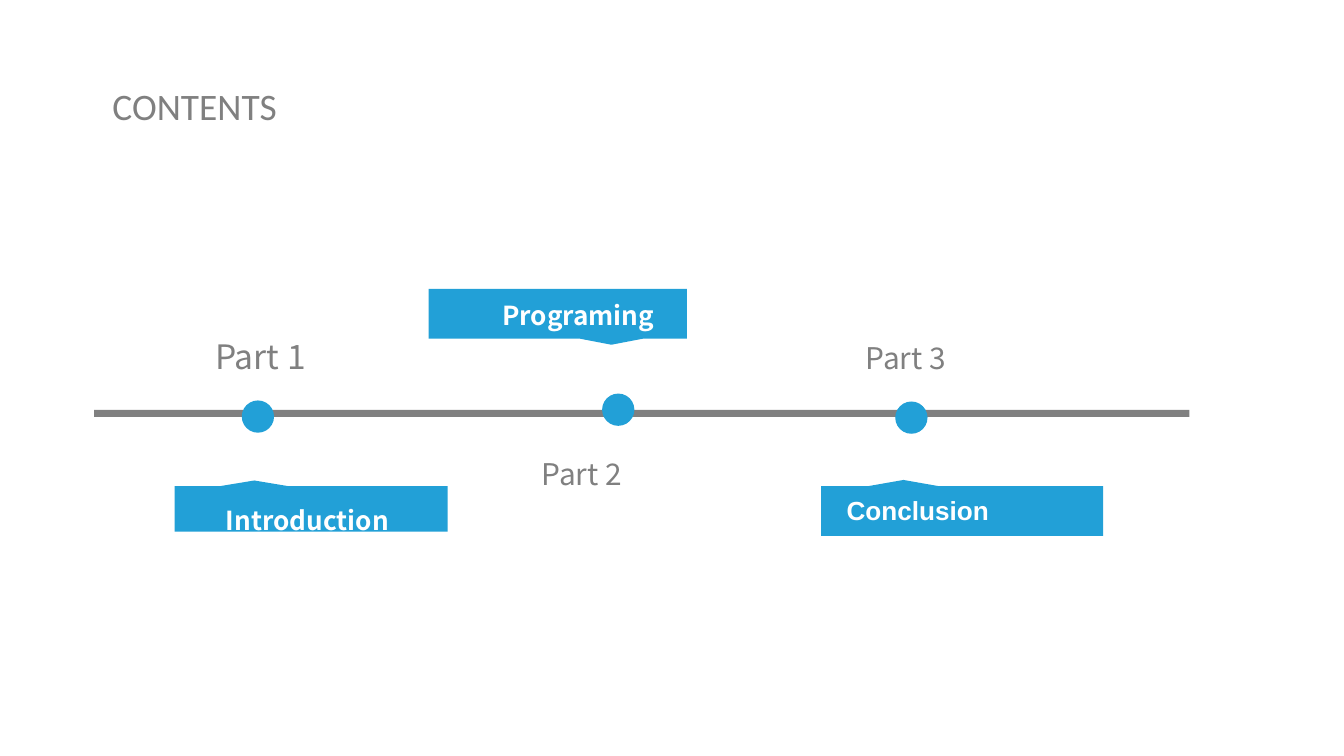
from dataclasses import dataclass
from typing import Any

from pptx import Presentation
from pptx.dml.color import RGBColor
from pptx.enum.shapes import MSO_SHAPE
from pptx.enum.text import MSO_AUTO_SIZE, PP_ALIGN
from pptx.util import Cm, Pt

RECT = MSO_SHAPE.RECTANGLE
OVAL = MSO_SHAPE.OVAL
CALLOUT = MSO_SHAPE.RECTANGULAR_CALLOUT
LEFT, CENTER = PP_ALIGN.LEFT, PP_ALIGN.CENTER
FIT = MSO_AUTO_SIZE.SHAPE_TO_FIT_TEXT

BLUE, GRAY, WHITE = "22A0D7", "808080", "FFFFFF"
NOTO = "Noto Sans CJK SC"
DOT = 0.61
TIP_X, TIP_Y = 0.208, 0.625

Box = tuple[float, float, float, float]


@dataclass(frozen=True)
class Label:
    text: str
    box: Box
    size: int
    font: str = NOTO
    color: str = GRAY
    bold: bool = False
    align: PP_ALIGN = LEFT
    spacing: float = 1.0
    wrap: bool = False
    inset: tuple[float, float] = (0.18, 0.1)


@dataclass(frozen=True)
class Milestone:
    dot: tuple[float, float]
    heading: Label
    callout: Box
    side: int
    topic: Label


def topic(text: str, box: Box, font: str = NOTO,
          align: PP_ALIGN = CENTER, spacing: float = 1.3) -> Label:
    """Describe the bold white text of a callout."""
    return Label(text, box, 14, font, WHITE, True, align, spacing, True, (0.25, 0.13))


TITLE = Label("CONTENTS", (1.98, 1.5, 3.4, 0.99), 20, "Calibri",
              align=CENTER, inset=(0.13, 0.08))
MILESTONES = [
    Milestone((4.57, 7.57), Label("Part 1", (3.89, 6.25, 2.18, 0.97), 18),
              (3.3, 9.19, 5.16, 0.86), -1,
              topic("Introduction", (3.48, 9.22, 4.67, 1.04))),
    Milestone((11.38, 7.44), Label("Part 2", (10.06, 8.51, 1.98, 0.89), 16),
              (8.1, 5.46, 4.88, 0.94), 1,
              topic("Programing", (8.48, 5.36, 4.9, 1.04))),
    Milestone((16.92, 7.59), Label("Part 3", (16.18, 6.32, 1.98, 0.89), 16),
              (15.52, 9.19, 5.33, 0.94), -1,
              topic("Conclusion", (15.75, 9.22, 4.98, 0.86), "Arial", LEFT, 1.0)),
]


def rgb(value: str) -> RGBColor:
    """Turn a hex string into a colour."""
    return RGBColor.from_string(value)


def add_filled(shapes: Any, kind: MSO_SHAPE, box: Box, color: str) -> Any:
    """Add a plain filled shape."""
    sp = shapes.add_shape(kind, *map(Cm, box))
    sp.shadow.inherit = False
    sp.fill.solid()
    sp.fill.fore_color.rgb = rgb(color)
    sp.line.fill.background()
    return sp


def add_label(shapes: Any, label: Label) -> None:
    """Add a text box holding one formatted line."""
    tf = shapes.add_textbox(*map(Cm, label.box)).text_frame
    tf.text = label.text
    tf.word_wrap = label.wrap
    tf.auto_size = FIT
    tf.margin_left = tf.margin_right = Cm(label.inset[0])
    tf.margin_top = tf.margin_bottom = Cm(label.inset[1])
    p = tf.paragraphs[0]
    p.alignment = label.align
    p.line_spacing = label.spacing
    font = p.runs[0].font
    font.name = label.font
    font.size = Pt(label.size)
    font.bold = label.bold
    font.color.rgb = rgb(label.color)


def add_milestone(shapes: Any, m: Milestone) -> None:
    """Add a dot, its heading and its callout."""
    add_filled(shapes, OVAL, (*m.dot, DOT, DOT), BLUE)
    group = shapes.add_group_shape().shapes
    sp = add_filled(group, CALLOUT, m.callout, BLUE)
    sp.adjustments[0] = m.side * TIP_X
    sp.adjustments[1] = m.side * TIP_Y
    add_label(group, m.topic)
    add_label(shapes, m.heading)


def main() -> None:
    """Build the contents timeline slide."""
    prs = Presentation()
    prs.slide_width, prs.slide_height = Cm(25.4), Cm(14.29)
    s = prs.slides.add_slide(prs.slide_layouts[6])
    add_label(s.shapes, TITLE)
    add_filled(s.shapes, RECT, (1.78, 7.75, 20.7, 0.13), GRAY)
    for m in MILESTONES:
        add_milestone(s.shapes, m)
    prs.save("out.pptx")


if __name__ == "__main__":
    main()
